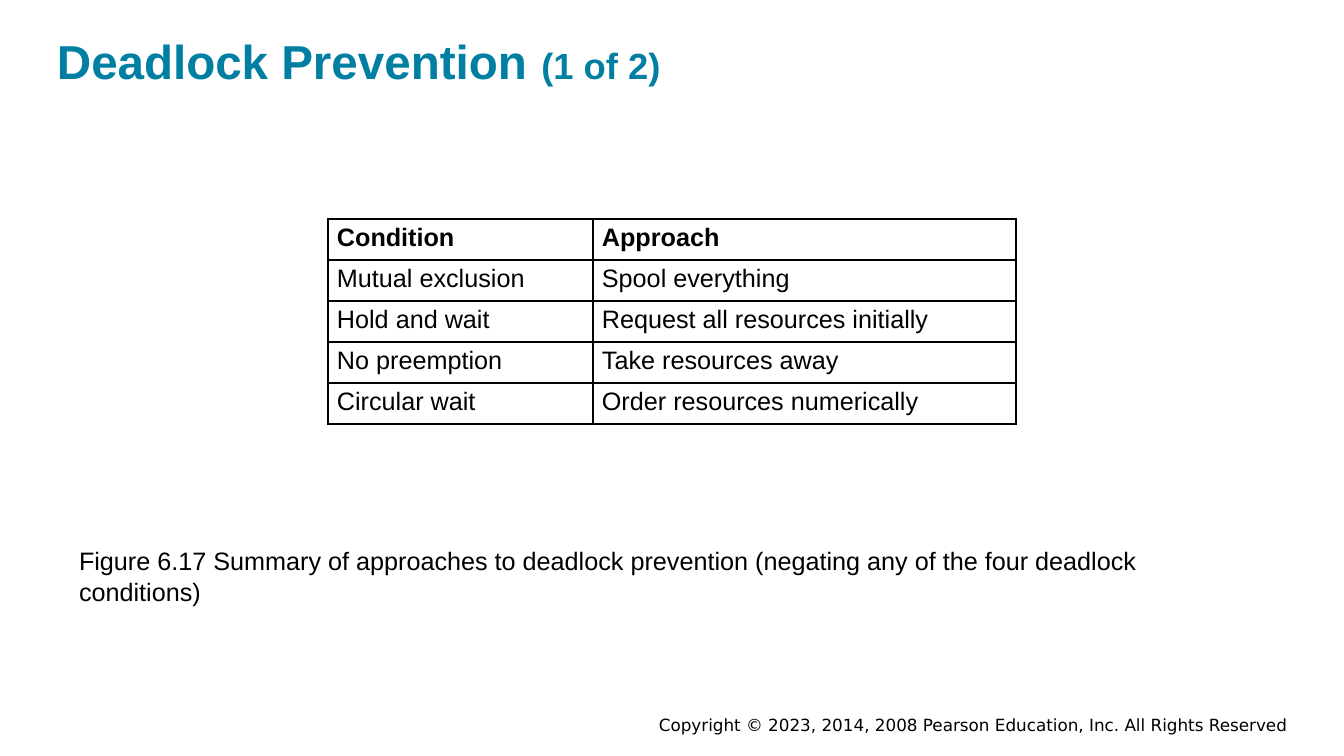
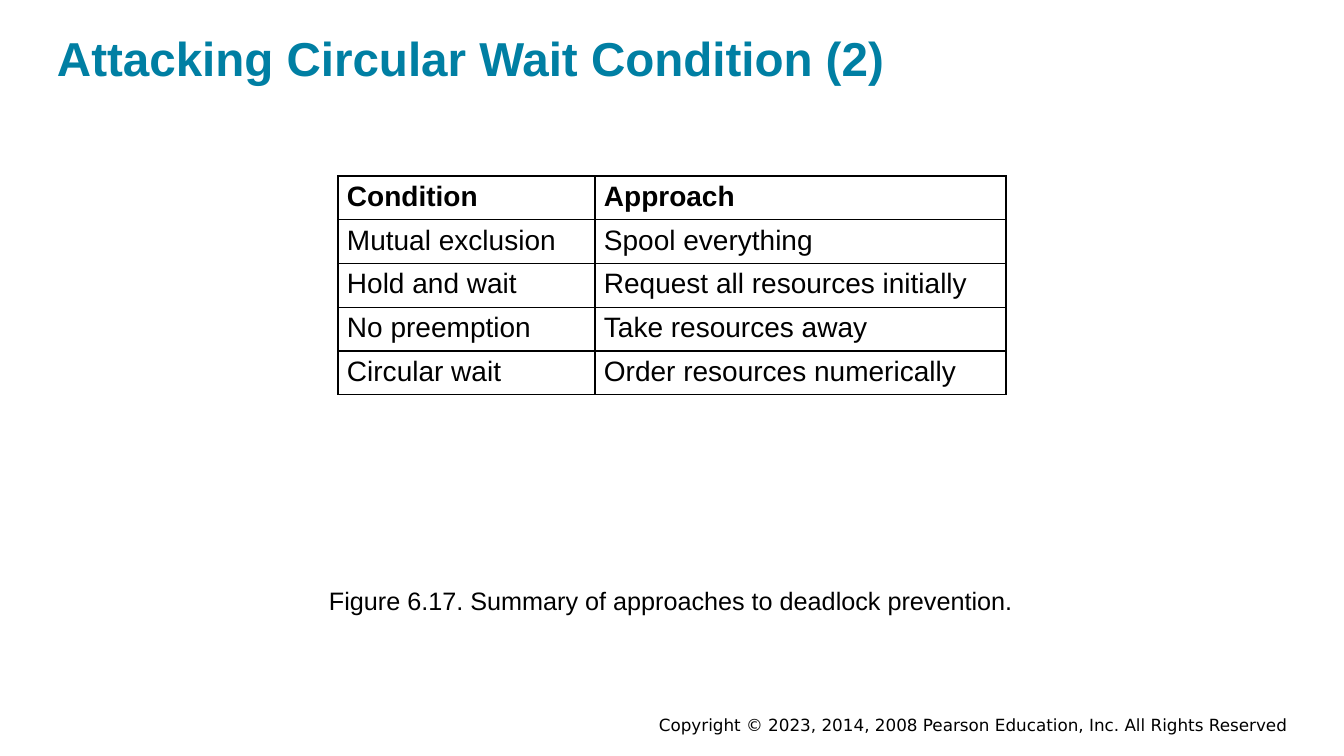
from dataclasses import dataclass

from lxml.etree import SubElement
from pptx import Presentation
from pptx.dml.color import RGBColor
from pptx.enum.text import MSO_ANCHOR, PP_ALIGN
from pptx.oxml.ns import qn
from pptx.util import Emu, Pt

EMU_PER_PX = 914400 / 100.8


@dataclass(frozen=True)
class Theme:
    accent: str = "007FA3"
    ink: str = "000000"
    body_font: str = "Arial"
    footer_font: str = "DejaVu Sans"
    title_size: int = 34
    title_gap_size: int = 36
    part_size: int = 26
    caption_size: int = 18
    footer_size: int = 12
    border_width: int = 1


THEME = Theme()

COPYRIGHT = "Copyright © 2023, 2014, 2008 Pearson Education, Inc. All Rights Reserved"
FOOTER_BOX = (561, 713, 727, 24)

APPROACHES = [
    ("Condition", "Approach"),
    ("Mutual exclusion", "Spool everything"),
    ("Hold and wait", "Request all resources initially"),
    ("No preemption", "Take resources away"),
    ("Circular wait", "Order resources numerically"),
]

SLIDES = [
    {
        "title": [
            ("Deadlock Prevention", THEME.title_size),
            (" ", THEME.title_gap_size),
            ("(1 of 2)", THEME.part_size),
        ],
        "title_box": (57, 26, 1230, 66),
        "table_box": (328, 219, 688, 205),
        "column_widths": (265, 423),
        "table_size": 18,
        "caption": "Figure 6.17 Summary of approaches to deadlock prevention "
                   "(negating any of the four deadlock conditions)",
        "caption_box": (79, 545, 1186, 62),
    },
    {
        "title": [("Attacking Circular Wait Condition (2)", THEME.title_size)],
        "title_box": (57, 27, 1230, 61),
        "table_box": (338, 176, 668, 219),
        "column_widths": (257, 411),
        "table_size": 20,
        "caption": "Figure 6.17. Summary of approaches to deadlock prevention.",
        "caption_box": (329, 583, 688, 34),
    },
]


def px(length):
    return Emu(round(length * EMU_PER_PX))


def apply(target, formats):
    for name, value in formats.items():
        setattr(target, name, value)


def add_run(paragraph, text, size, color=THEME.ink, font=THEME.body_font, bold=False):
    run = paragraph.add_run()
    run.text = text
    apply(run.font, {"size": Pt(size), "name": font, "bold": bold})
    run.font.color.rgb = RGBColor.from_string(color)


def add_text(slide, box, runs, align=PP_ALIGN.LEFT, **style):
    """Place one paragraph of (text, size) runs, centred vertically in the box."""
    frame = slide.shapes.add_textbox(*map(px, box)).text_frame
    apply(frame, {
        "word_wrap": True,
        "vertical_anchor": MSO_ANCHOR.MIDDLE,
        "margin_left": 0,
        "margin_right": 0,
        "margin_top": px(2),
        "margin_bottom": px(2),
    })
    paragraph = frame.paragraphs[0]
    paragraph.alignment = align
    for text, size in runs:
        add_run(paragraph, text, size, **style)


def add_title(slide, box, runs):
    add_text(slide, box, runs, color=THEME.accent, bold=True)


def add_caption(slide, box, caption):
    add_text(slide, box, [(caption, THEME.caption_size)])


def add_footer(slide):
    add_text(slide, FOOTER_BOX, [(COPYRIGHT, THEME.footer_size)],
             align=PP_ALIGN.RIGHT, font=THEME.footer_font)


def draw_borders(cell):
    properties = cell._tc.get_or_add_tcPr()
    for position, side in enumerate(("lnL", "lnR", "lnT", "lnB")):
        line = SubElement(properties, qn(f"a:{side}"), w=str(Pt(THEME.border_width)))
        fill = SubElement(line, qn("a:solidFill"))
        SubElement(fill, qn("a:srgbClr"), val=THEME.ink)
        properties.insert(position, line)


def add_approach_table(slide, box, column_widths, size):
    table = slide.shapes.add_table(
        len(APPROACHES), len(column_widths), *map(px, box)).table
    apply(table, {"first_row": False, "horz_banding": False})
    for column, width in zip(table.columns, column_widths):
        column.width = px(width)
    for row_index, texts in enumerate(APPROACHES):
        table.rows[row_index].height = px(box[3] / len(APPROACHES))
        for column_index, text in enumerate(texts):
            cell = table.cell(row_index, column_index)
            apply(cell, {
                "margin_left": px(9),
                "margin_right": px(9),
                "margin_top": px(5),
                "margin_bottom": px(5),
            })
            cell.fill.background()
            draw_borders(cell)
            add_run(cell.text_frame.paragraphs[0], text, size, bold=row_index == 0)


def add_table_slide(deck, content):
    slide = deck.slides.add_slide(deck.slide_layouts[6])
    add_footer(slide)
    add_title(slide, content["title_box"], content["title"])
    add_approach_table(slide, content["table_box"],
                       content["column_widths"], content["table_size"])
    add_caption(slide, content["caption_box"], content["caption"])


def main():
    deck = Presentation()
    apply(deck, {"slide_width": px(1344), "slide_height": px(756)})
    for content in SLIDES:
        add_table_slide(deck, content)
    deck.save("out.pptx")


if __name__ == "__main__":
    main()
